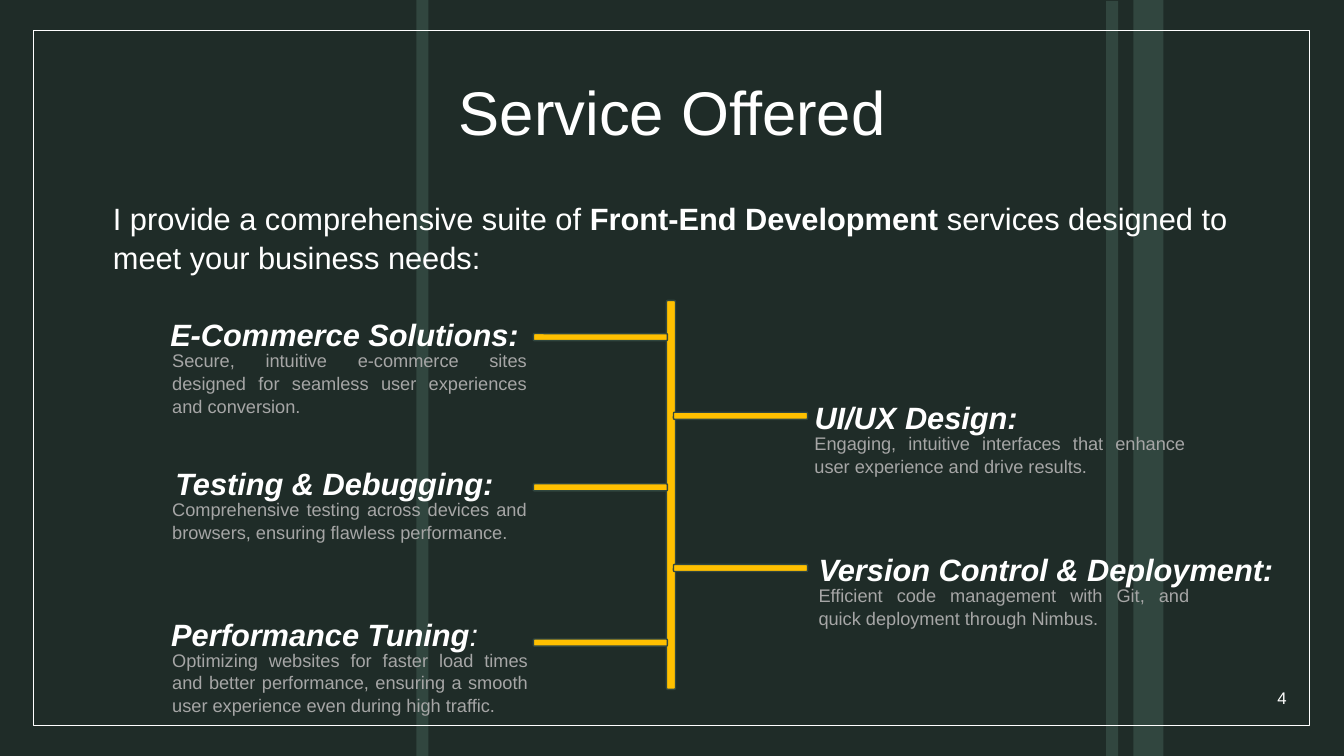
from dataclasses import dataclass
from pptx import Presentation
from pptx.dml.color import RGBColor as RGB
from pptx.enum.shapes import MSO_SHAPE as Shape
from pptx.enum.text import MSO_ANCHOR as Anchor, MSO_AUTO_SIZE as Fit, PP_ALIGN as Align
from pptx.oxml.xmlchemy import OxmlElement as Node
from pptx.util import Inches, Pt


@dataclass(frozen=True)
class Theme:
    back: RGB = RGB.from_string("1F2C28")
    band: RGB = RGB.from_string("31463F")
    ink: RGB = RGB.from_string("FFFFFF")
    soft: RGB = RGB.from_string("A6A6A6")
    gold: RGB = RGB.from_string("FFC000")
    font: str = "Arial"
    title: int = 44
    head: int = 22
    note: int = 13
    page: int = 12


THEME = Theme()
LEFT = [
    (1.59, 3.07, 3.71, [("E-Commerce Solutions:", True)],
     "Secure, intuitive e-commerce sites designed for seamless user experiences and conversion."),
    (1.64, 4.55, 3.71, [("Testing & Debugging:", True)],
     "Comprehensive testing across devices and browsers, ensuring flawless performance."),
    (1.6, 6.04, 3.72, [("Performance Tuning", True), (":", False)],
     "Optimizing websites for faster load times and better performance, "
     "ensuring a smooth user experience even during high traffic."),
]
RIGHT = [
    (7.98, 3.89, 3.87, [("UI/UX Design:", True)],
     "Engaging, intuitive interfaces that enhance user experience and drive results."),
    (8.02, 5.4, 3.87, [("Version Control & Deployment:", True)],
     "Efficient code management with Git, and quick deployment through Nimbus."),
]


def place(shape, x, y, w, h):
    shape.left, shape.top, shape.width, shape.height = map(Inches, (x, y, w, h))
    return shape


def write(shape, runs, size=THEME.head, color=THEME.ink, italic=False,
          align=Align.LEFT, anchor=Anchor.TOP, pitch=1.04, before=10):
    frame = shape.text_frame
    frame.word_wrap = True
    frame.auto_size = Fit.NONE
    frame.vertical_anchor = anchor
    para = frame.paragraphs[0]
    para.alignment = align
    para.line_spacing = pitch
    para.space_before = Pt(before)
    for text, bold in runs:
        run = para.add_run()
        run.text = text
        font = run.font
        font.name, font.size = THEME.font, Pt(size)
        font.bold, font.italic = bold, italic
        font.color.rgb = color
    return para


def label(slide, box, runs, **form):
    return write(slide.shapes.add_textbox(*map(Inches, box)), runs, **form)


def block(slide, box, kind=Shape.RECTANGLE, fill=None, line=None):
    shape = slide.shapes.add_shape(kind, *map(Inches, box))
    shape.shadow.inherit = False
    if fill is None:
        shape.fill.background()
    else:
        shape.fill.solid()
        shape.fill.fore_color.rgb = fill
    if line is None:
        shape.line.fill.background()
    else:
        shape.line.color.rgb = line
        shape.line.width = Pt(1)


def backdrop(slide, w, h):
    slide.background.fill.solid()
    slide.background.fill.fore_color.rgb = THEME.back
    for x, y, wide in ((10.97, 0.01, 0.12), (4.13, 0, 0.12), (11.24, 0, 0.3)):
        block(slide, (x, y, wide, h - y), fill=THEME.band)
    block(slide, (0.33, 0.3, w - 0.67, h - 0.6), line=THEME.ink)


def header(slide, x, y, w):
    title, body = slide.shapes.title, slide.placeholders[1]
    for part in (title, body):
        slide.shapes._spTree.append(part._element)
    write(place(title, x, y, w, 1.45), [("Service Offered", False)], size=THEME.title,
          align=Align.CENTER, anchor=Anchor.MIDDLE, pitch=0.9, before=0)
    para = write(place(body, x + 0.6, y + 1.5, w - 0.82, 0.67), [
        ("I provide a comprehensive suite of ", False),
        ("Front-End Development", True),
        (" services designed to meet your business needs:", False)])
    props = para._p.get_or_add_pPr()
    props.set("marL", "0")
    props.set("indent", "0")
    props.append(Node("a:buNone"))


def service(slide, x, y, w, edge, head, note):
    label(slide, (x, y, 5.05, 0.54), head, italic=True)
    label(slide, (edge, y + 0.34, w, 0.54), [(note, False)], size=THEME.note,
          color=THEME.soft, align=Align.JUSTIFY)


def tree(slide, x, y, h):
    def bar(*box):
        block(slide, box, Shape.ROUNDED_RECTANGLE, THEME.gold, THEME.band)

    bar(x, y, 0.09, h)
    for drop in (1.11, 2.62):
        bar(x + 0.07, y + drop, 1.33, 0.07)
    for drop in (0.33, 1.82, 3.36):
        bar(x - 1.32, y + drop, 1.33, 0.07)


def build():
    deck = Presentation()
    deck.slide_width, deck.slide_height = Inches(13.33), Inches(7.5)
    slide = deck.slides.add_slide(deck.slide_layouts[1])
    backdrop(slide, 13.33, 7.5)
    header(slide, 0.42, 0.42, 12.5)
    for x, y, w, head, note in LEFT:
        service(slide, x, y, w, 1.61, head, note)
    for x, y, w, head, note in RIGHT:
        service(slide, x, y, w, x, head, note)
    tree(slide, 6.61, 2.98, 3.86)
    label(slide, (11.94, 6.72, 0.92, 0.4), [("4", False)], size=THEME.page,
          align=Align.RIGHT, anchor=Anchor.MIDDLE, before=0)
    deck.save("out.pptx")


if __name__ == "__main__":
    build()
